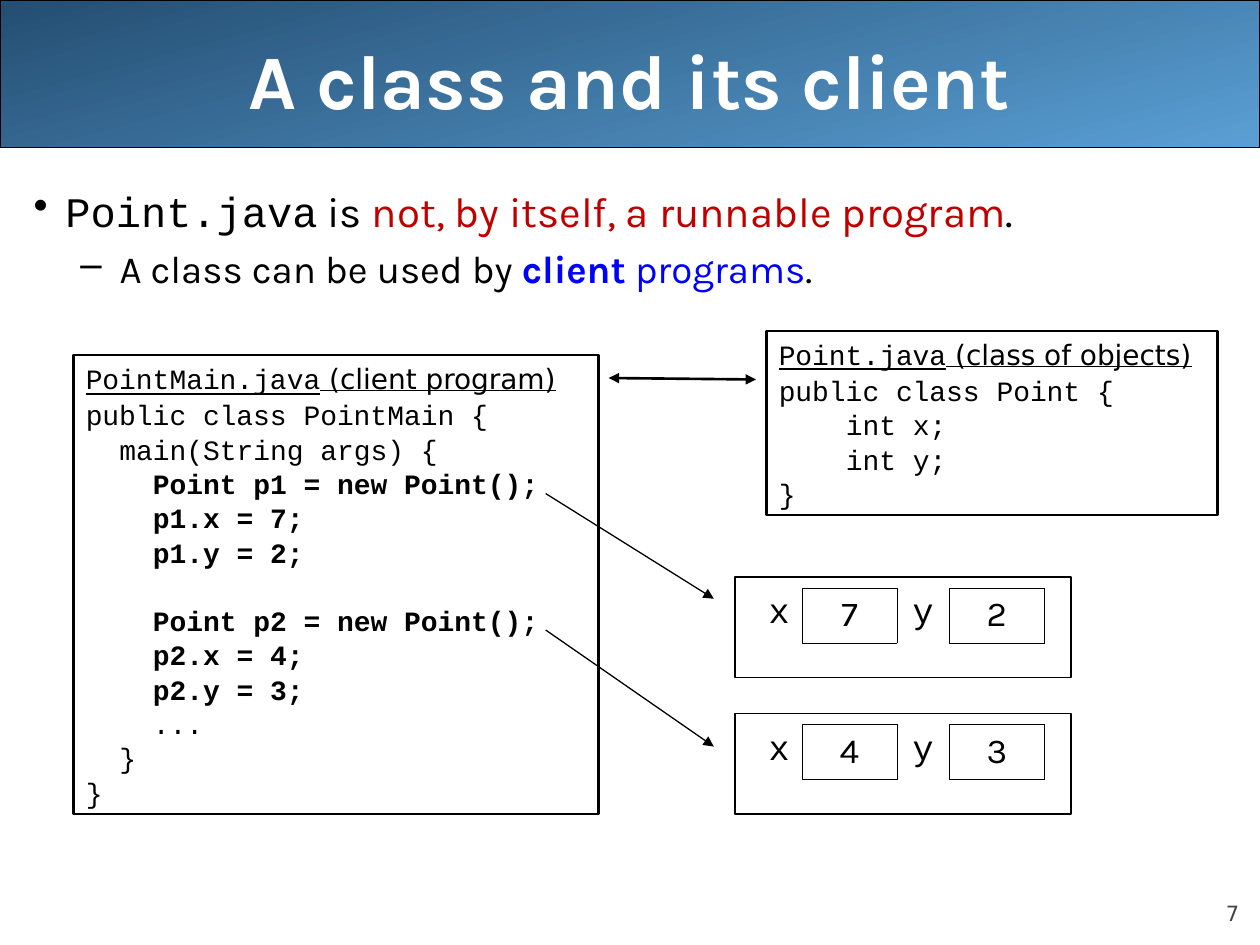
"""Build the slide about a Point class and its client program."""
import lxml.etree
import pptx
import pptx.dml.color
import pptx.enum.shapes
import pptx.enum.text
import pptx.oxml.ns
import pptx.util

Cm = pptx.util.Cm
Pt = pptx.util.Pt
qn = pptx.oxml.ns.qn
SHAPES = pptx.enum.shapes.MSO_SHAPE
ALIGN = pptx.enum.text.PP_ALIGN
ANCHOR = pptx.enum.text.MSO_ANCHOR
MONO, SANS, KARLA = "Courier New", "DejaVu Sans", "Karla"


def color(hex_string):
    """Turn a hex string into a colour."""
    return pptx.dml.color.RGBColor.from_string(hex_string)


def write(paragraph, text, font, size, ink="000000", bold=False, underline=False):
    """Add one styled run to a paragraph."""
    run = paragraph.add_run()
    run.text = text
    run.font.name = font
    run.font.size = Pt(size)
    run.font.bold = bold
    run.font.underline = underline
    run.font.color.rgb = color(ink)


presentation = pptx.Presentation()
presentation.slide_width = Cm(25.4)
presentation.slide_height = Cm(19.05)
slide = presentation.slides.add_slide(presentation.slide_layouts[6])

banner = slide.shapes.add_shape(SHAPES.RECTANGLE, 0, 0, Cm(25.4), Cm(2.97))
banner.shadow.inherit = False
banner.fill.gradient()
banner.fill.gradient_angle = 285
for stop, shade, position in zip(banner.fill.gradient_stops, ("244E72", "5A9FD4"), (0, 1)):
    stop.color.rgb = color(shade)
    stop.position = position
banner.line.color.rgb = color("000000")
banner.line.width = Pt(0.75)

page_number = slide.shapes.add_textbox(Cm(22.86), Cm(17.65), Cm(2.12), Cm(1.02)).text_frame
page_number.word_wrap = True
page_number.vertical_anchor = ANCHOR.BOTTOM
page_number.margin_left = page_number.margin_right = 0
page_number.margin_top = page_number.margin_bottom = 0
page_number.paragraphs[0].alignment = ALIGN.RIGHT
write(page_number.paragraphs[0], "7", SANS, 12, "424242")

title = slide.shapes.add_textbox(Cm(1.27), 0, Cm(22.86), Cm(3.18)).text_frame
title.word_wrap = True
title.vertical_anchor = ANCHOR.MIDDLE
title.paragraphs[0].alignment = ALIGN.CENTER
write(title.paragraphs[0], "A class and its client", KARLA, 44, "FFFFFF", bold=True)

points = slide.shapes.add_textbox(Cm(0.43), Cm(3.61), Cm(24.97), Cm(14.4)).text_frame
points.word_wrap = True
main_point, sub_point = points.paragraphs[0], points.add_paragraph()
sub_point.level = 1
for point, mark, margin, hang, before in (
    (main_point, "•", 0.64, 0.64, 6),
    (sub_point, "–", 1.73, 0.79, 5.5),
):
    point.space_before = Pt(before)
    properties = point._p.get_or_add_pPr()
    properties.set("marL", str(Cm(margin)))
    properties.set("indent", str(-Cm(hang)))
    bullet_color = lxml.etree.SubElement(properties, qn("a:buClr"))
    lxml.etree.SubElement(bullet_color, qn("a:srgbClr"), val="000000")
    lxml.etree.SubElement(properties, qn("a:buChar"), char=mark)
write(main_point, "Point.java", MONO, 24)
write(main_point, " is ", KARLA, 24)
write(main_point, "not, by itself, a runnable program", KARLA, 24, "C00000")
write(main_point, ".", KARLA, 24)
write(sub_point, "A class can be used by ", KARLA, 22)
write(sub_point, "client", KARLA, 22, "0000FF", bold=True)
write(sub_point, " programs", KARLA, 22, "0000FF")
write(sub_point, ".", KARLA, 22)

client_code = [
    (0, "public class PointMain {", False, 10),
    (1, "main(String args) {", False, 10),
    (2, "Point p1 = new Point();", True, 10),
    (2, "p1.x = 7;", True, 10),
    (2, "p1.y = 2;", True, 10),
    (2, "Point p2 = new Point();", True, 29.5),
    (2, "p2.x = 4;", True, 10),
    (2, "p2.y = 3;", True, 10),
    (2, "...", False, 10),
    (1, "}", False, 10),
    (0, "}", False, 10),
]
class_code = [
    (0, "public class Point {", False, 10),
    (2, "int x;", False, 10),
    (2, "int y;", False, 10),
    (0, "}", False, 10),
]
for left, top, width, height, file_name, role, code in (
    (1.48, 7.16, 10.59, 9.25, "PointMain.java", " (client program)", client_code),
    (15.45, 6.67, 9.1, 3.71, "Point.java", " (class of objects)", class_code),
):
    listing = slide.shapes.add_shape(SHAPES.RECTANGLE, Cm(left), Cm(top), Cm(width), Cm(height))
    listing.shadow.inherit = False
    listing.fill.background()
    listing.line.color.rgb = color("000000")
    listing.line.width = Pt(1.5)
    listing.text_frame.word_wrap = True
    listing.text_frame.vertical_anchor = ANCHOR.TOP
    heading = listing.text_frame.paragraphs[0]
    heading.alignment = ALIGN.LEFT
    heading.space_before = Pt(10)
    write(heading, file_name, MONO, 16, underline=True)
    write(heading, role, SANS, 16, underline=True)
    for depth, statement, bold, before in code:
        code_line = listing.text_frame.add_paragraph()
        code_line.alignment = ALIGN.LEFT
        code_line.line_spacing = 0.5
        code_line.space_before = Pt(before)
        code_line._p.get_or_add_pPr().set("marL", str(Pt(19.2 * depth)))
        write(code_line, statement, MONO, 16, bold=bold)

for top, x_value, y_value in ((11.63, "7", "2"), (14.38, "4", "3")):
    instance = slide.shapes.add_shape(SHAPES.RECTANGLE, Cm(14.82), Cm(top), Cm(6.77), Cm(2.03))
    instance.shadow.inherit = False
    instance.fill.background()
    instance.line.color.rgb = color("000000")
    instance.line.width = Pt(0.75)
    fields = slide.shapes.add_table(1, 4, Cm(15.24), Cm(top + 0.23), Cm(5.81), Cm(1.09)).table
    fields.first_row = fields.horz_banding = False
    fields.rows[0].height = Cm(1.09)
    for index, (text, font, width, sides) in enumerate((
        ("x", MONO, 0.93, "R"),
        (x_value, KARLA, 1.91, "LRTB"),
        ("y", MONO, 1.06, "LR"),
        (y_value, KARLA, 1.91, "LRTB"),
    )):
        fields.columns[index].width = Cm(width)
        cell = fields.cell(0, index)
        cell.text_frame.paragraphs[0].alignment = ALIGN.CENTER
        cell.text_frame.paragraphs[0].space_before = Pt(5)
        write(cell.text_frame.paragraphs[0], text, font, 20)
        cell_properties = cell._tc.get_or_add_tcPr()
        for side in "LRTB":
            border = lxml.etree.SubElement(cell_properties, qn(f"a:ln{side}"), w=str(Pt(0.45)))
            if side in sides:
                border_fill = lxml.etree.SubElement(border, qn("a:solidFill"))
                lxml.etree.SubElement(border_fill, qn("a:srgbClr"), val="000000")
            else:
                lxml.etree.SubElement(border, qn("a:noFill"))
        cell.fill.background()

for start_x, start_y, end_x, end_y, weight, ends in (
    (12.27, 7.62, 15.24, 7.65, 1.5, ("headEnd", "tailEnd")),
    (11, 9.95, 14.39, 12.07, 0.75, ("tailEnd",)),
    (11, 12.7, 14.39, 15.05, 0.75, ("tailEnd",)),
):
    arrow = slide.shapes.add_connector(
        pptx.enum.shapes.MSO_CONNECTOR.STRAIGHT, Cm(start_x), Cm(start_y), Cm(end_x), Cm(end_y)
    )
    arrow.line.color.rgb = color("000000")
    arrow.line.width = Pt(weight)
    for end in ends:
        lxml.etree.SubElement(arrow.line._get_or_add_ln(), qn(f"a:{end}"), type="triangle")
    lxml.etree.SubElement(arrow._element.spPr, qn("a:effectLst"))

presentation.save("out.pptx")
